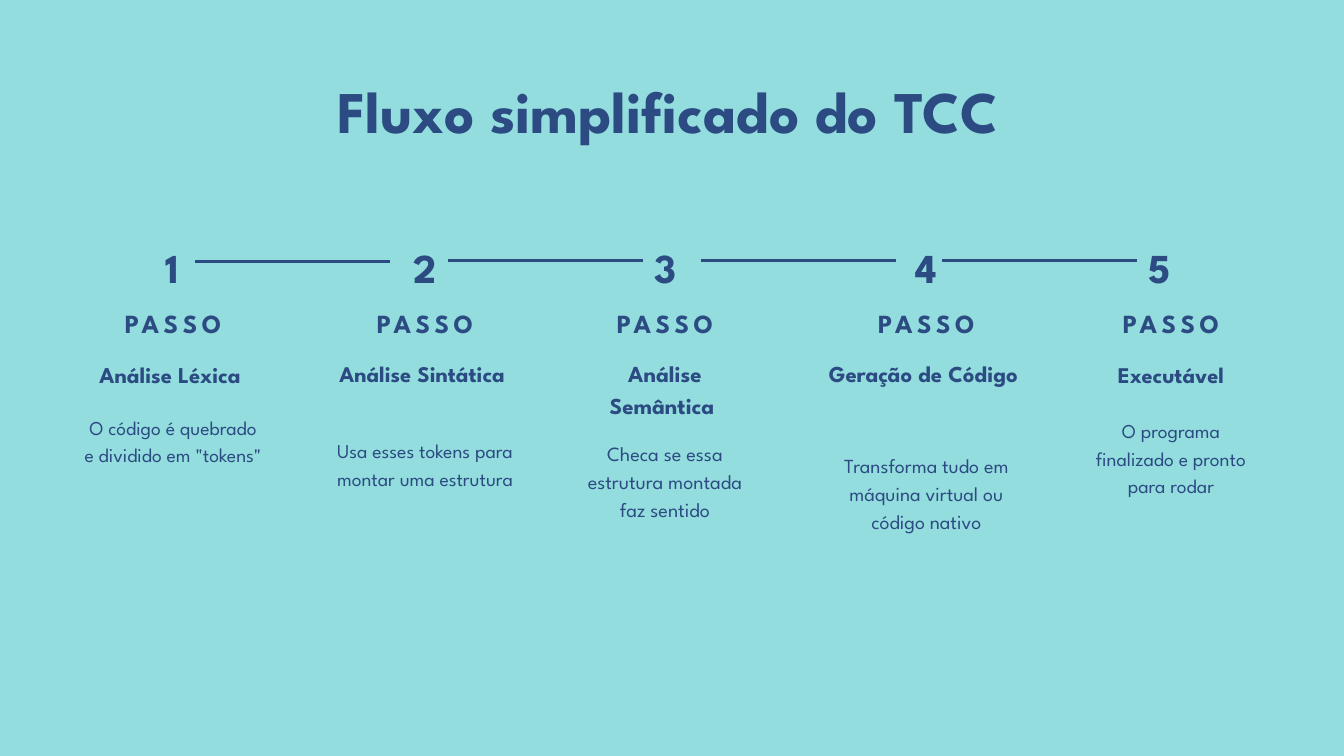
from pptx import Presentation
from pptx import util as u
from pptx.dml.color import RGBColor
from pptx.enum import shapes, text
from pptx.oxml import parse_xml
from pptx.oxml.ns import nsdecls

NAVY = RGBColor(0x2B, 0x4B, 0x82)
AQUA = RGBColor(0x94, 0xDD, 0xDE)
FACE = "League Spartan"


class Deck:
    """Holds the style and the current slide."""

    def __init__(self, wide, high):
        self.prs = Presentation()
        self.prs.slide_width = u.Inches(wide)
        self.prs.slide_height = u.Inches(high)
        self.slide = self.prs.slides.add_slide(self.prs.slide_layouts[6])
        fill = self.slide.background.fill
        fill.solid()
        fill.fore_color.rgb = AQUA

    def label(self, words, left, top, wide, high, size,
              bold=True, ratio=1.4, track=0):
        box = self.slide.shapes.add_textbox(
            *(u.Inches(v) for v in (left, top, wide, high)))
        frame = box.text_frame
        form = {"word_wrap": True,
                "auto_size": text.MSO_AUTO_SIZE.SHAPE_TO_FIT_TEXT,
                "margin_left": 0, "margin_right": 0,
                "margin_top": 0, "margin_bottom": 0}
        for key, val in form.items():
            setattr(frame, key, val)
        para = frame.paragraphs[0]
        para.alignment = text.PP_ALIGN.CENTER
        para.line_spacing = u.Pt(round(size * ratio, 1))
        run = para.add_run()
        run.text = words
        look = {"name": FACE, "size": u.Pt(size), "bold": bold}
        for key, val in look.items():
            setattr(run.font, key, val)
        run.font.color.rgb = NAVY
        if track:
            run.font._element.set("spc", str(round(track * 100)))

    def rule(self, left, top, wide):
        line = self.slide.shapes.add_connector(
            shapes.MSO_CONNECTOR.STRAIGHT, u.Inches(left), u.Inches(top),
            u.Inches(left + wide), u.Inches(top))
        line.line.color.rgb = NAVY
        line.line.width = u.Pt(3)
        line._element.spPr.append(
            parse_xml("<a:effectLst %s/>" % nsdecls("a")))

    def save(self):
        self.prs.save("out.pptx")


# Column left and width, number left, then (text, top, height, size) pairs
STEPS = [
    (1.23, 2.69, 2.24, ("Análise Léxica ", 5.3, 0.44, 24.2),
     ('O código é quebrado e dividido em "tokens"', 6.13, 1.2, 21)),
    (5.01, 2.63, 6, ("Análise Sintática ", 5.29, 0.91, 24),
     ("Usa esses tokens para montar uma estrutura", 6.48, 1.19, 21)),
    (8.55, 2.69, 9.57, ("Análise Semântica ", 5.29, 0.92, 24.5),
     ("Checa se essa estrutura montada faz sentido", 6.51, 1.23, 21.6)),
    (12.32, 2.93, 13.46, ("Geração de Código ", 5.29, 0.92, 24.4),
     ("Transforma tudo em máquina virtual ou código nativo",
      6.69, 1.19, 21.4)),
    (16.08, 2.69, 16.92, ("Executável", 5.3, 0.43, 24),
     ("O programa finalizado e pronto para rodar", 6.18, 1.19, 21)),
]
LINKS = [(2.9, 3.89), (6.67, 3.88), (10.43, 3.88), (14.02, 3.88)]


def main():
    deck = Deck(20, 11.25)

    # Title
    deck.label("Fluxo simplificado do TCC", 1.12, 1.11, 17.65, 1.06, 63.2,
               ratio=1.2)

    # Steps
    for num, (left, wide, spot, head, body) in enumerate(STEPS, 1):
        deck.label(str(num), spot, 3.48, 0.66, 0.82, 44, track=7.5)
        deck.label("PASSO", left, 4.49, wide, 0.51, 28, track=4.8)
        for part, bold in ((head, True), (body, False)):
            words, top, high, size = part
            deck.label(words, left, top, wide, high, size, bold)

    # Lines between the numbers
    for left, top in LINKS:
        deck.rule(left, top, 2.9)

    deck.save()


if __name__ == "__main__":
    main()
